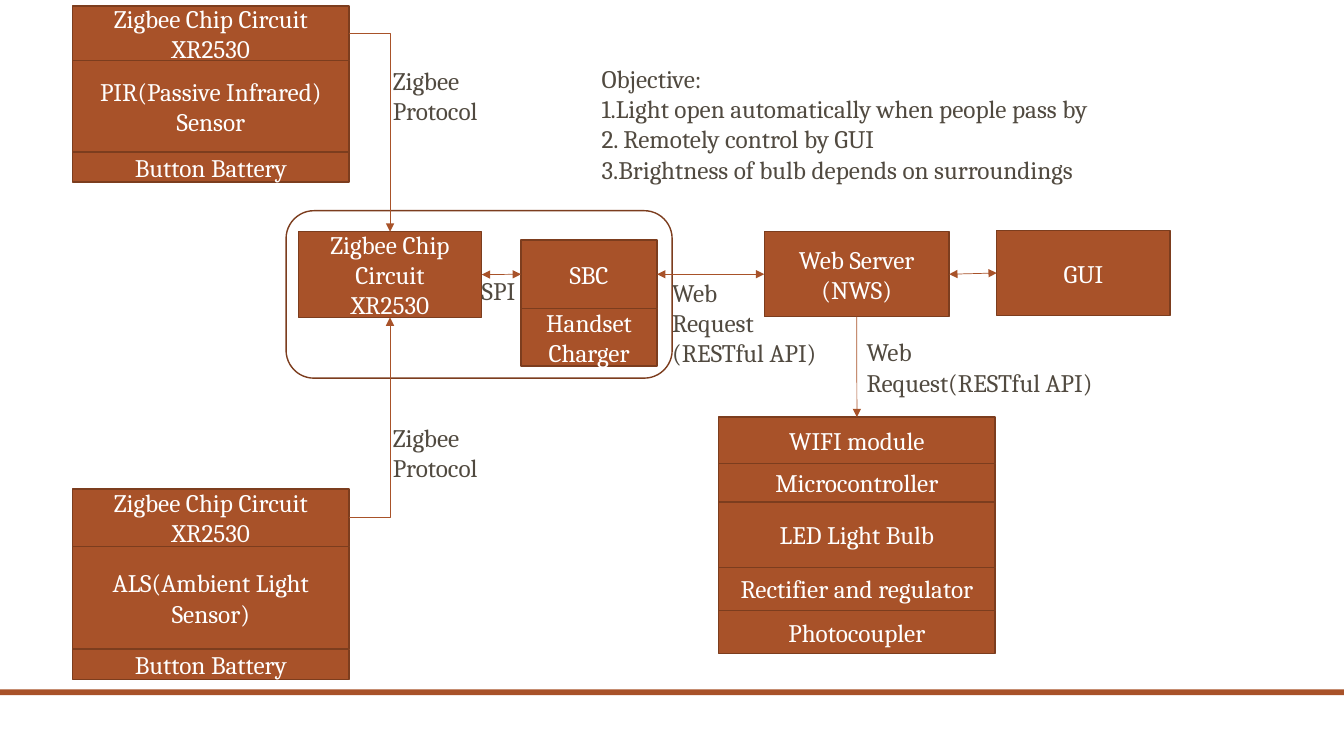
from lxml import etree
from pptx import Presentation
from pptx.dml.color import RGBColor
from pptx.enum import shapes, text
from pptx.oxml.ns import qn
from pptx.util import Cm, Pt

RUST = RGBColor(0xA8, 0x52, 0x29)
BROWN = RGBColor(0x7C, 0x3D, 0x1E)
GREY = RGBColor(0x51, 0x4A, 0x40)
WHITE = RGBColor(0xFF, 0xFF, 0xFF)
TOP, LEFT, BOTTOM, RIGHT = range(4)
CHIP = "Zigbee Chip Circuit\nXR2530"
STACK_WIDTH = 6.97


def write(shape, content, color=GREY, size=18, font="Cambria",
          align=text.PP_ALIGN.LEFT, anchor=text.MSO_ANCHOR.TOP):
    frame = shape.text_frame
    frame.word_wrap = True
    frame.vertical_anchor = anchor
    frame.text = content
    for paragraph in frame.paragraphs:
        paragraph.alignment = align
        for run in paragraph.runs:
            run.font.size = Pt(size)
            run.font.name = font
            run.font.color.rgb = color


def add_label(slide, left, top, width, height, content):
    label = slide.shapes.add_textbox(Cm(left), Cm(top), Cm(width), Cm(height))
    write(label, content)
    label.text_frame.auto_size = text.MSO_AUTO_SIZE.SHAPE_TO_FIT_TEXT


def add_panel(slide, left, top, width, height, fill=RUST, line=BROWN,
              kind=shapes.MSO_SHAPE.RECTANGLE):
    panel = slide.shapes.add_shape(kind, Cm(left), Cm(top), Cm(width), Cm(height))
    panel.shadow.inherit = False
    if fill is None:
        panel.fill.background()
    else:
        panel.fill.solid()
        panel.fill.fore_color.rgb = fill
    if line is None:
        panel.line.fill.background()
    else:
        panel.line.color.rgb = line
        panel.line.width = Pt(1)
    return panel


def add_block(slide, left, top, width, height, content):
    block = add_panel(slide, left, top, width, height)
    write(block, content, color=WHITE, align=text.PP_ALIGN.CENTER,
          anchor=text.MSO_ANCHOR.MIDDLE)
    return block


def add_stack(slide, left, top, width, rows):
    blocks = []
    for content, height in rows:
        blocks.append(add_block(slide, left, top, width, height, content))
        top += height
    return blocks


def add_sensor(slide, left, top, chip_height, sensor, sensor_height):
    rows = [(CHIP, chip_height), (sensor, sensor_height), ("Button Battery", 0.76)]
    return add_stack(slide, left, top, STACK_WIDTH, rows)[0]


def add_hub(slide, left, top, width, height):
    chip = add_block(slide, left + 0.31, top + 0.53, 4.62, 2.16, CHIP)
    computer, _ = add_stack(slide, left + 5.92, top + 0.74, 3.43,
                            [("SBC", 1.72), ("Handset Charger", 1.45)])
    add_label(slide, left + 4.68, top + 1.5, 1.57, 1.02, "SPI")
    add_panel(slide, left, top, width, height, fill=None,
              kind=shapes.MSO_SHAPE.ROUNDED_RECTANGLE)
    link(slide, chip, RIGHT, computer, LEFT, both=True)
    return chip, computer


def add_bulb(slide, left, top):
    rows = [("WIFI module", 1.17), ("Microcontroller", 0.97), ("LED Light Bulb", 1.65),
            ("Rectifier and regulator", 1.08), ("Photocoupler", 1.09)]
    return add_stack(slide, left, top, STACK_WIDTH, rows)[0]


def link(slide, start, start_side, end, end_side, both=False, bent=False):
    kind = shapes.MSO_CONNECTOR.ELBOW if bent else shapes.MSO_CONNECTOR.STRAIGHT
    connector = slide.shapes.add_connector(kind, 0, 0, 0, 0)
    connector.begin_connect(start, start_side)
    connector.end_connect(end, end_side)
    connector.line.color.rgb = RUST
    connector.line.width = Pt(0.5)
    properties = connector._element.spPr
    if bent:
        properties.find(qn("a:prstGeom")).set("prst", "bentConnector2")
    line = properties.find(qn("a:ln"))
    for tag in (["a:headEnd"] if both else []) + ["a:tailEnd"]:
        etree.SubElement(line, qn(tag)).set("type", "triangle")
    etree.SubElement(properties, qn("a:effectLst"))


def main():
    presentation = Presentation()
    presentation.slide_width = Cm(33.87)
    presentation.slide_height = Cm(19.05)
    slide = presentation.slides.add_slide(presentation.slide_layouts[6])

    add_panel(slide, 0, 17.37, 33.87, 0.15, line=None)
    motion = add_sensor(slide, 1.83, 0.15, 1.37, "PIR(Passive Infrared)\nSensor", 2.31)
    ambient = add_sensor(slide, 1.83, 12.32, 1.45, "ALS(Ambient Light Sensor)", 2.59)
    chip, computer = add_hub(slide, 7.21, 5.31, 9.73, 4.22)
    server = add_block(slide, 19.26, 5.84, 4.66, 2.14, "Web Server\n(NWS)")
    interface = add_block(slide, 25.12, 5.81, 4.37, 2.14, "GUI")
    bulb = add_bulb(slide, 18.11, 10.51)

    link(slide, motion, RIGHT, chip, TOP, bent=True)
    link(slide, ambient, RIGHT, chip, BOTTOM, bent=True)
    link(slide, computer, RIGHT, server, LEFT, both=True)
    link(slide, server, RIGHT, interface, LEFT, both=True)
    link(slide, server, BOTTOM, bulb, TOP)

    for top in (1.52, 10.52):
        add_label(slide, 9.65, top, 3.07, 1.8, "Zigbee Protocol")
    add_label(slide, 16.69, 6.86, 4.32, 2.57, "Web\nRequest\n(RESTful API)")
    add_label(slide, 21.59, 8.36, 7.32, 1.8, "Web\nRequest(RESTful API)")
    add_label(slide, 14.91, 1.47, 18.16, 3.33,
              "Objective:\n1.Light open automatically when people pass by\n"
              "2. Remotely control by GUI\n3.Brightness of bulb depends on surroundings")
    presentation.save("out.pptx")


if __name__ == "__main__":
    main()
